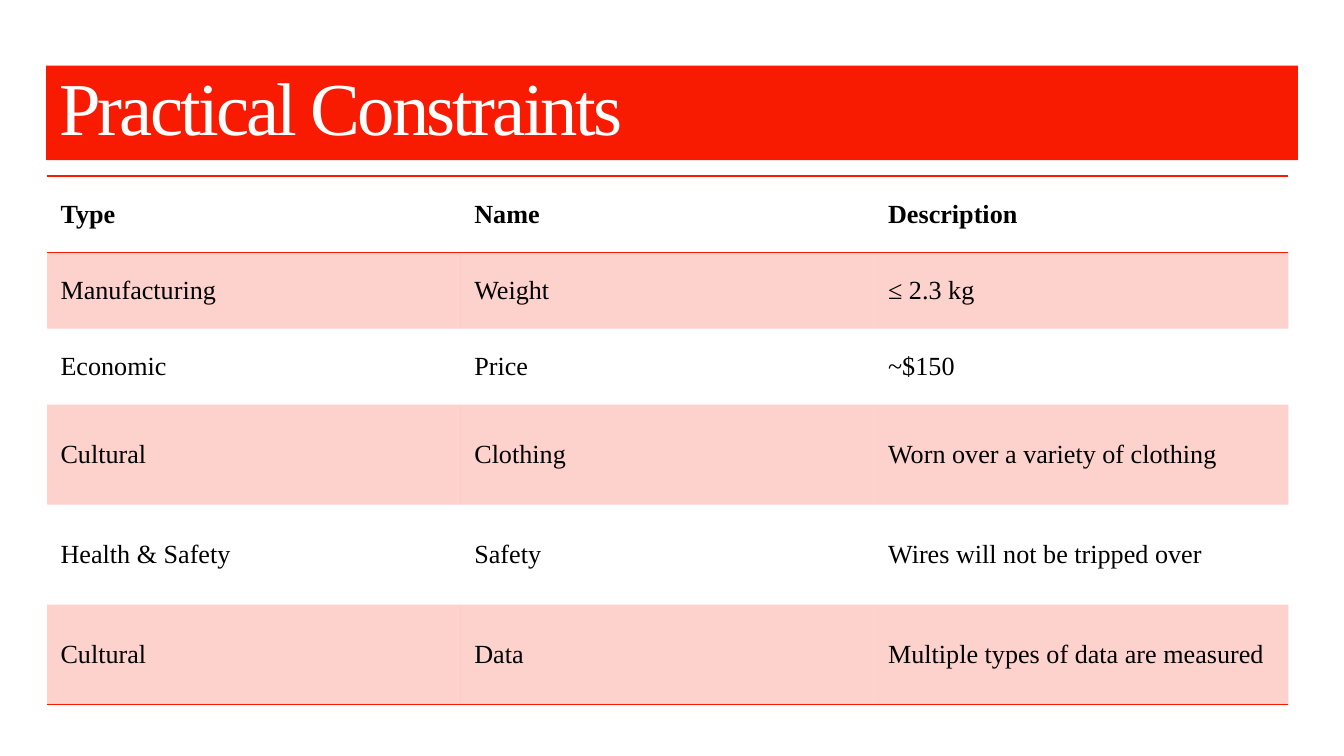
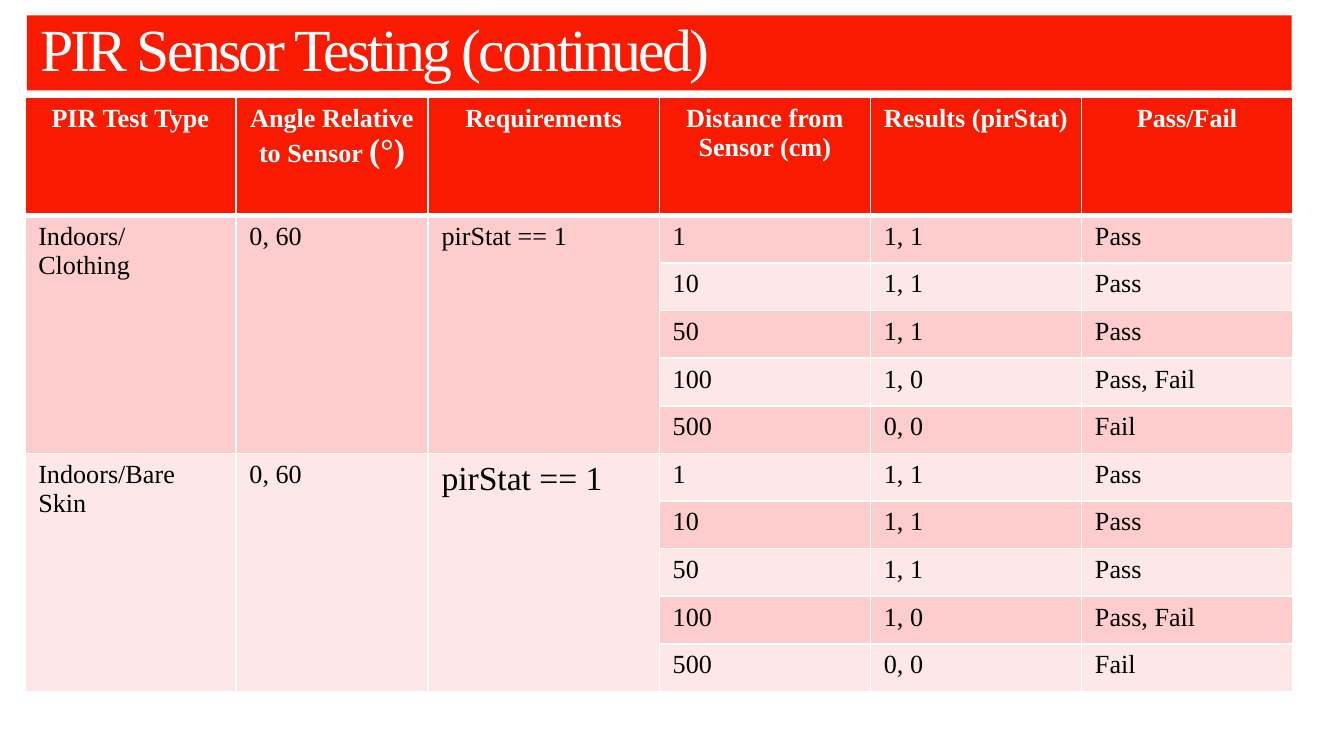
import dataclasses
import lxml.etree
import pptx
import pptx.dml.color
import pptx.enum.text
import pptx.oxml.ns
import pptx.util

Cm, Pt = pptx.util.Cm, pptx.util.Pt
qn = pptx.oxml.ns.qn
PP_ALIGN = pptx.enum.text.PP_ALIGN
MSO_ANCHOR = pptx.enum.text.MSO_ANCHOR


@dataclasses.dataclass(frozen=True)
class Theme:
    font: str = "Times New Roman"
    red: str = "F81B02"
    white: str = "FFFFFF"
    black: str = "000000"
    dark_band: str = "FCCDCC"
    light_band: str = "FEE8E7"
    tint_percent: int = 20
    body_size: int = 14
    large_size: int = 18
    title_spacing: int = -150
    title_leading: float = 0.85
    title_inset: float = 0.25
    rule: int = 1
    heavy_rule: int = 3


THEME = Theme()

CONSTRAINTS = {
    "title": "Practical Constraints",
    "title_size": 40,
    "title_box": (0.87, 1.24, 23.66, 1.79),
    "table_at": (0.89, 3.33),
    "columns": [7.82] * 3,
    "rows": [1.44] * 3 + [1.89] * 3,
    "cells": [
        ("Type", "Name", "Description"),
        ("Manufacturing", "Weight", "≤ 2.3 kg"),
        ("Economic", "Price", "~$150"),
        ("Cultural", "Clothing", "Worn over a variety of clothing"),
        ("Health & Safety ", "Safety", "Wires will not be tripped over"),
        ("Cultural", "Data", "Multiple types of data are measured"),
    ],
}

READINGS = [
    ("1", "1, 1", "Pass"),
    ("10", "1, 1", "Pass"),
    ("50", "1, 1", "Pass"),
    ("100", "1, 0", "Pass, Fail"),
    ("500", "0, 0", "Fail"),
]
TEST_GROUPS = [
    ("Indoors/ Clothing", "0, 60", "pirStat == 1"),
    ("Indoors/Bare Skin", "0, 60", [("pirStat == 1", THEME.large_size)]),
]
SENSOR_TESTS = {
    "title": "PIR Sensor Testing (continued)",
    "title_size": 32,
    "title_box": (0.51, 0.29, 23.9, 1.42),
    "table_at": (0.47, 1.84),
    "columns": [3.99, 3.63, 4.37, 3.99, 3.99, 3.99],
    "rows": [2.23] + [0.9] * (len(TEST_GROUPS) * len(READINGS)),
    "cells": [
        (
            "PIR Test Type",
            [("Angle Relative to Sensor ", THEME.body_size), ("(°)", THEME.large_size)],
            "Requirements",
            "Distance from Sensor (cm)",
            "Results (pirStat)",
            "Pass/Fail",
        )
    ] + [
        (group if index == 0 else ("",) * len(group)) + reading
        for group in TEST_GROUPS
        for index, reading in enumerate(READINGS)
    ],
}


def rgb(color):
    return pptx.dml.color.RGBColor.from_string(color)


def style_font(font, size, color, bold=False):
    font.name = THEME.font
    font.size = Pt(size)
    font.bold = bold
    font.color.rgb = rgb(color)


def add_title(slide, content):
    title = slide.shapes.title
    title.left, title.top, title.width, title.height = map(Cm, content["title_box"])
    title.fill.solid()
    title.fill.fore_color.rgb = rgb(THEME.red)
    frame = title.text_frame
    frame.text = content["title"]
    frame.auto_size = pptx.enum.text.MSO_AUTO_SIZE.NONE
    frame.vertical_anchor = MSO_ANCHOR.MIDDLE
    frame.margin_left = frame.margin_right = Cm(THEME.title_inset)
    frame.margin_top = frame.margin_bottom = Cm(THEME.title_inset)
    paragraph = frame.paragraphs[0]
    paragraph.alignment = PP_ALIGN.LEFT
    paragraph.line_spacing = THEME.title_leading
    run = paragraph.runs[0]
    style_font(run.font, content["title_size"], THEME.white)
    run.font._element.set("spc", str(THEME.title_spacing))


def add_table(slide, content):
    columns, rows = content["columns"], content["rows"]
    left, top = content["table_at"]
    frame = slide.shapes.add_table(
        len(rows), len(columns), Cm(left), Cm(top), Cm(sum(columns)), Cm(sum(rows))
    )
    table = frame.table
    table.first_row = table.horz_banding = False
    for column, width in zip(table.columns, columns):
        column.width = Cm(width)
    for row, height in zip(table.rows, rows):
        row.height = Cm(height)
    return table


def set_borders(cell, borders):
    properties = cell._tc.get_or_add_tcPr()
    for side in "LRTB":
        color, width = borders.get(side, (None, THEME.rule))
        line = lxml.etree.SubElement(properties, qn(f"a:ln{side}"), w=str(Pt(width)))
        if color:
            fill = lxml.etree.SubElement(line, qn("a:solidFill"))
            lxml.etree.SubElement(fill, qn("a:srgbClr"), val=color)
        else:
            lxml.etree.SubElement(line, qn("a:noFill"))


def fill_cell(cell, color, opacity=100):
    if color is None:
        cell.fill.background()
        return
    cell.fill.solid()
    cell.fill.fore_color.rgb = rgb(color)
    if opacity < 100:
        value = cell._tc.tcPr.find(f"{qn('a:solidFill')}/{qn('a:srgbClr')}")
        lxml.etree.SubElement(value, qn("a:alpha"), val=str(opacity * 1000))


def write_cell(cell, content, color, bold, alignment, anchor):
    cell.vertical_anchor = anchor
    paragraph = cell.text_frame.paragraphs[0]
    paragraph.alignment = alignment
    pieces = [(content, THEME.body_size)] if isinstance(content, str) else content
    for text, size in pieces:
        if text:
            run = paragraph.add_run()
            run.text = text
            style_font(run.font, size, color, bold)


def build_constraints(slide):
    add_title(slide, CONSTRAINTS)
    table = add_table(slide, CONSTRAINTS)
    last = len(CONSTRAINTS["rows"]) - 1
    red_rule = (THEME.red, THEME.rule)
    for row, values in enumerate(CONSTRAINTS["cells"]):
        borders = {}
        if row in (0, 1):
            borders["T"] = red_rule
        if row in (0, last):
            borders["B"] = red_rule
        for column, value in enumerate(values):
            cell = table.cell(row, column)
            set_borders(cell, borders)
            fill_cell(cell, THEME.red if row % 2 else None, THEME.tint_percent)
            write_cell(cell, value, THEME.black, row == 0, PP_ALIGN.LEFT, MSO_ANCHOR.MIDDLE)


def build_sensor_tests(slide):
    add_title(slide, SENSOR_TESTS)
    table = add_table(slide, SENSOR_TESTS)
    white_rule = (THEME.white, THEME.rule)
    heavy_rule = (THEME.white, THEME.heavy_rule)
    for row, values in enumerate(SENSOR_TESTS["cells"]):
        header = row == 0
        borders = dict.fromkeys("LRTB", white_rule)
        if header:
            borders["B"] = heavy_rule
        elif row == 1:
            borders["T"] = heavy_rule
        band = THEME.red if header else THEME.dark_band if row % 2 else THEME.light_band
        color = THEME.white if header else THEME.black
        alignment = PP_ALIGN.CENTER if header else PP_ALIGN.LEFT
        for column, value in enumerate(values):
            cell = table.cell(row, column)
            set_borders(cell, borders)
            fill_cell(cell, band)
            write_cell(cell, value, color, header, alignment, MSO_ANCHOR.TOP)
    for group, labels in enumerate(TEST_GROUPS):
        first = 1 + group * len(READINGS)
        for column in range(len(labels)):
            table.cell(first, column).merge(table.cell(first + len(READINGS) - 1, column))


def main():
    presentation = pptx.Presentation()
    presentation.slide_width = Cm(25.4)
    presentation.slide_height = Cm(14.29)
    title_only = presentation.slide_layouts[5]
    for build in (build_constraints, build_sensor_tests):
        build(presentation.slides.add_slide(title_only))
    presentation.save("out.pptx")


if __name__ == "__main__":
    main()
